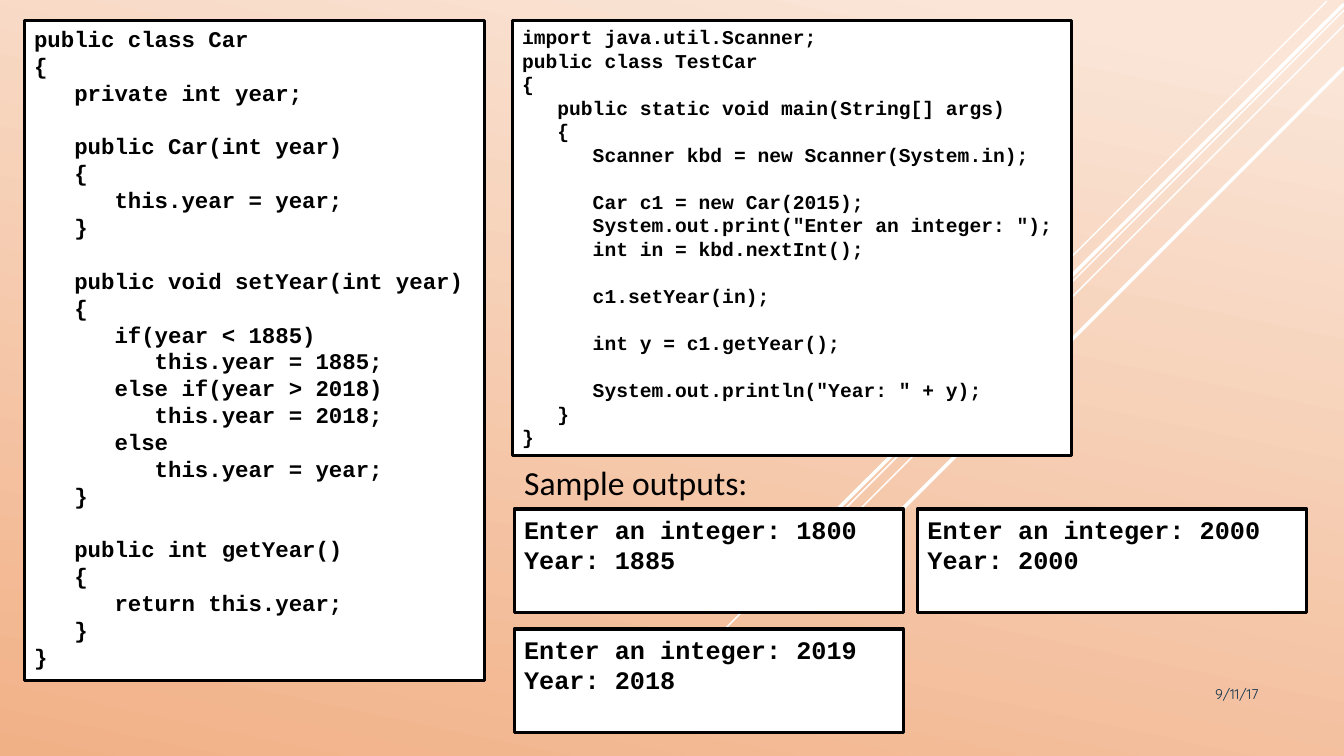
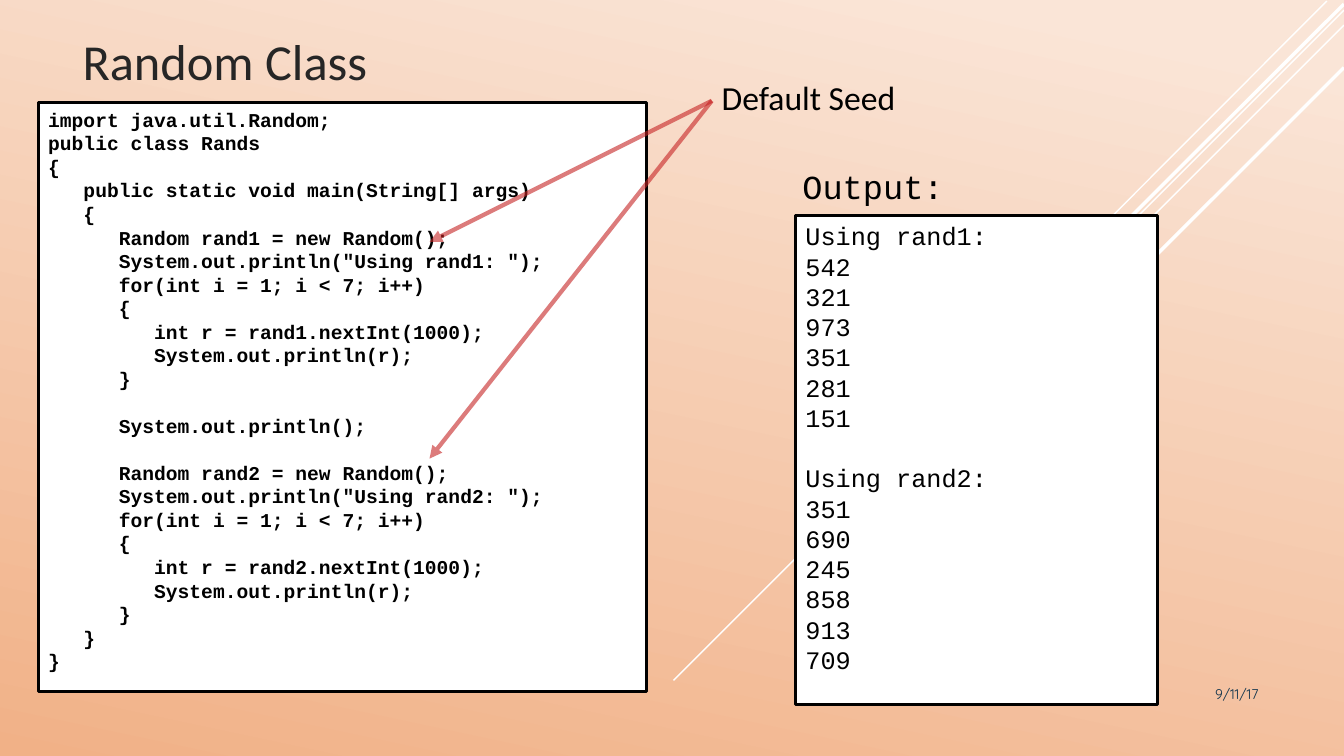
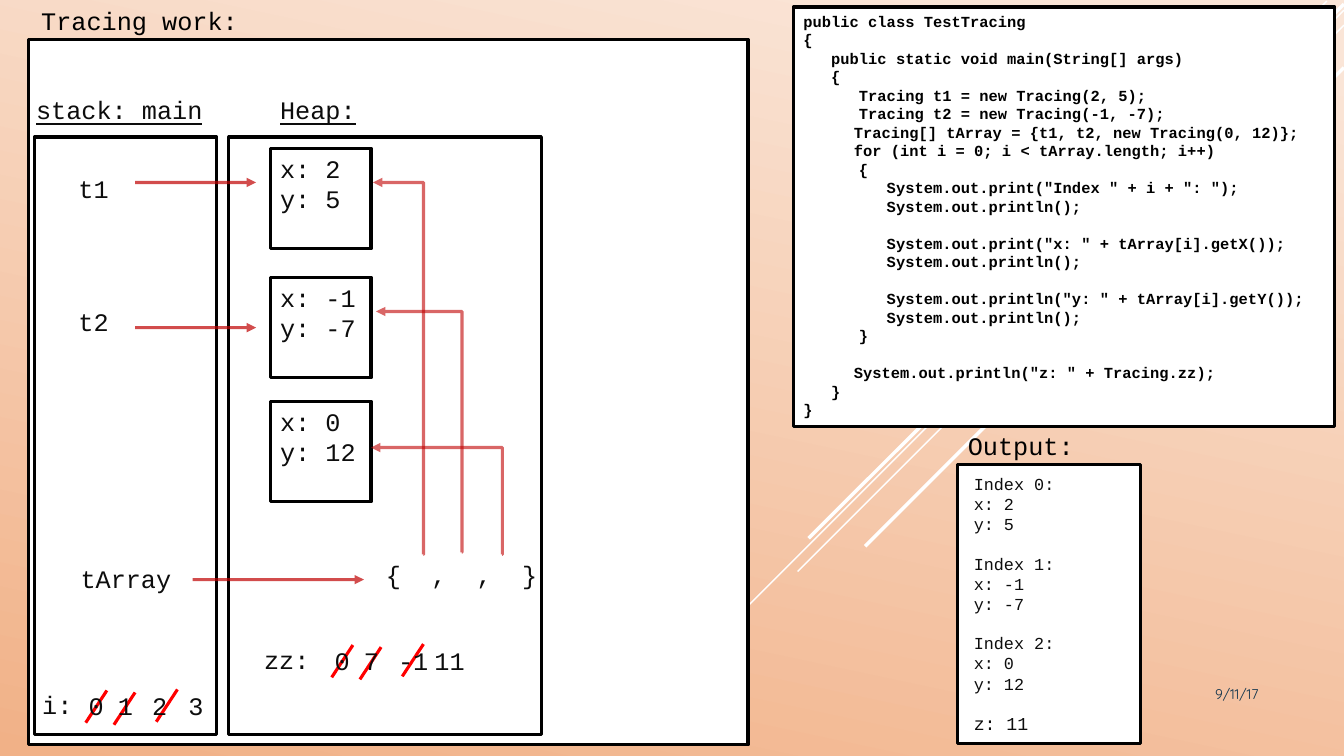
from lxml.etree import SubElement
from pptx import Presentation
from pptx.dml.color import RGBColor as RGB
from pptx.enum.shapes import MSO_CONNECTOR as LINK, MSO_SHAPE as SHAPE
from pptx.enum.text import MSO_ANCHOR as ANCHOR, PP_ALIGN as ALIGN
from pptx.oxml.ns import qn
from pptx.util import Inches, Pt

WIDTH, HEIGHT = 13.33, 7.5
COLORS = {
    "light": "FAE5D7", "peach": "F1B187", "white": "FFFFFF", "black": "000000",
    "ink": "0D0D0D", "title": "262626", "date": "0A304A",
    "arrow": "C00000", "seed": "C62324", "strike": "FF0000",
}
MONO, SANS, DATE_FONT = "Courier New", "Calibri", "Quicksand"
DATE = "9/11/17"
RAYS = [
    (13.16, 0.01, 9, 4.18, 1),
    (WIDTH, 0.1, 6.68, 6.75, 1),
    (WIDTH, 0.25, 7.91, 5.67, 1),
    (WIDTH, 0.04, 8.02, 5.34, 2.5),
    (WIDTH, 0.67, 8.58, 5.42, 2.5),
]

CAR_CODE = """public class Car
{
   private int year;

   public Car(int year)
   {
      this.year = year;
   }

   public void setYear(int year)
   {
      if(year < 1885)
         this.year = 1885;
      else if(year > 2018)
         this.year = 2018;
      else
         this.year = year;
   }

   public int getYear()
   {
      return this.year;
   }
}"""

TEST_CAR_CODE = """import java.util.Scanner;
public class TestCar
{
   public static void main(String[] args)
   {
      Scanner kbd = new Scanner(System.in);

      Car c1 = new Car(2015);
      System.out.print("Enter an integer: ");
      int in = kbd.nextInt();

      c1.setYear(in);

      int y = c1.getYear();

      System.out.println("Year: " + y);
   }
}"""

SAMPLES = [(0, 0, 1800, 1885), (1, 0, 2000, 2000), (0, 1, 2019, 2018)]

RANDS_CODE = """import java.util.Random;
public class Rands
{
   public static void main(String[] args)
   {
      Random rand1 = new Random();
      System.out.println("Using rand1: ");
      for(int i = 1; i < 7; i++)
      {
         int r = rand1.nextInt(1000);
         System.out.println(r);
      }

      System.out.println();

      Random rand2 = new Random();
      System.out.println("Using rand2: ");
      for(int i = 1; i < 7; i++)
      {
         int r = rand2.nextInt(1000);
         System.out.println(r);
      }
   }
}"""

RANDS_OUTPUT = """Using rand1:
542
321
973
351
281
151

Using rand2:
351
690
245
858
913
709"""

TRACING_CODE = [
    (0, """public class TestTracing
{
   public static void main(String[] args)
   {
      Tracing t1 = new Tracing(2, 5);
      Tracing t2 = new Tracing(-1, -7);"""),
    (0.5, """Tracing[] tArray = {t1, t2, new Tracing(0, 12)};
for (int i = 0; i < tArray.length; i++)"""),
    (0, """      {
         System.out.print("Index " + i + ": ");
         System.out.println();

         System.out.print("x: " + tArray[i].getX());
         System.out.println();

         System.out.println("y: " + tArray[i].getY());
         System.out.println();
      }"""),
    (0.5, """
System.out.println("z: " + Tracing.zz);"""),
    (0, """   }
}"""),
]

OBJECTS = [(2, 5, 1.47), (-1, -7, 2.75), (0, 12, 3.98)]
VARIABLES = [
    ("t1", 0.68, 1.67, 0.66), ("t2", 0.68, 2.99, 0.66), ("tArray", 0.7, 5.54, 1.29),
]
POINTERS = [(1.34, 2.54, 1.81), (1.34, 2.54, 3.25), (1.91, 3.61, 5.75)]
ELEMENT_LINKS = [
    (3.7, 1.81, 4.2, 5.5), (3.73, 3.09, 4.58, 5.48), (3.68, 4.44, 4.98, 5.5),
]
COUNTERS = [
    ("zz:", 2.52, 6.34, 3.22, 6.35, ["0", "7", "-1", "11"]),
    ("i:", 0.32, 6.79, 0.78, 6.8, ["0", "1", "2", "3"]),
]
VALUE_OFFSETS = [0, 0.29, 0.63, 0.99]
STRIKE_OFFSETS = [(0.07, 0.37), (0.35, 0.39), (0.77, 0.36)]


def color(name):
    return RGB.from_string(COLORS[name])


def write(box, content, size, font=MONO, ink="black", bold=False, underline=False,
          align=ALIGN.LEFT, anchor=ANCHOR.TOP, before=0):
    frame = box.text_frame
    frame.word_wrap = True
    frame.vertical_anchor = anchor
    chunks = [(0, content)] if isinstance(content, str) else content
    for index, (indent, text) in enumerate(chunks):
        para = frame.add_paragraph() if index else frame.paragraphs[0]
        para.text = text
        para.alignment = align
        if before:
            para.space_before = Pt(before)
        if indent:
            para._p.get_or_add_pPr().set("marL", str(Inches(indent)))
        para.font.name = font
        para.font.size = Pt(size)
        para.font.bold = bold
        para.font.underline = underline
        para.font.color.rgb = color(ink)


def add_text(page, at, content, size, **style):
    box = page.shapes.add_textbox(*map(Inches, at))
    write(box, content, size, **style)


def add_panel(page, at, content="", size=18, fill="white", border=True, **style):
    box = page.shapes.add_shape(SHAPE.RECTANGLE, *map(Inches, at))
    box.shadow.inherit = False
    if fill:
        box.fill.solid()
        box.fill.fore_color.rgb = color(fill)
    else:
        box.fill.background()
    if border:
        box.line.color.rgb = color("black")
        box.line.width = Pt(2.25)
    else:
        box.line.fill.background()
    if content:
        write(box, content, size, **style)


def add_heading(page, at, content, size, font=MONO):
    add_text(page, at, content, size, font=font, align=ALIGN.JUSTIFY, before=size * 0.2)


def add_line(page, ends, ink, width, opacity=100, arrow=False, kind=LINK.STRAIGHT):
    line = page.shapes.add_connector(kind, *map(Inches, ends))
    line.line.color.rgb = color(ink)
    line.line.width = Pt(width)
    properties = line._element.spPr
    stroke = properties.find(qn("a:ln"))
    if opacity < 100:
        tint = stroke.find(qn("a:solidFill")).find(qn("a:srgbClr"))
        SubElement(tint, qn("a:alpha")).set("val", str(opacity * 1000))
    if arrow:
        SubElement(stroke, qn("a:tailEnd")).set("type", "triangle")
    SubElement(properties, qn("a:effectLst"))
    return line


def add_elbow(page, corners):
    elbow = add_line(page, corners, "arrow", 2.25, 60, True, LINK.ELBOW)
    properties = elbow._element.spPr
    properties.find(qn("a:xfrm")).set("rot", "10800000")
    adjustments = properties.find(qn("a:prstGeom")).find(qn("a:avLst"))
    guide = SubElement(adjustments, qn("a:gd"))
    guide.set("name", "adj1")
    guide.set("fmla", "val -200")


def set_background(deck):
    fill = deck.slide_master.background.fill
    fill.gradient()
    fill.gradient_angle = 360 - 102
    for stop, (position, name) in zip(fill.gradient_stops, [(0.07, "light"), (1, "peach")]):
        stop.position = position
        stop.color.rgb = color(name)


def new_page(deck):
    page = deck.slides.add_slide(deck.slide_layouts[6])
    for *ends, width in RAYS:
        add_line(page, ends, "white", width)
    add_text(page, (10.83, 6.75, 1.75, 0.4), DATE, 10, font=DATE_FONT, ink="date",
             align=ALIGN.RIGHT)
    return page


def build_car(deck):
    page = new_page(deck)
    add_panel(page, (0.24, 0.2, 4.57, 6.55), CAR_CODE, 16, bold=True)
    add_panel(page, (5.08, 0.2, 5.55, 4.32), TEST_CAR_CODE, 14, bold=True)
    add_heading(page, (5.1, 4.53, 2.88, 0.59), "Sample outputs:", 24, SANS)
    for column, row, entered, year in SAMPLES:
        add_panel(page, (5.1 + 4 * column, 5.05 + 1.19 * row, 3.86, 1.03),
                  f"Enter an integer: {entered}\nYear: {year}", bold=True)


def build_random(deck):
    page = new_page(deck)
    add_panel(page, (0.38, 1.02, 6.03, 5.84), RANDS_CODE, 14, bold=True)
    add_text(page, (0.72, -0.08, 8.75, 1.03), "Random Class", 36, font=SANS, ink="title",
             anchor=ANCHOR.BOTTOM)
    add_heading(page, (7.06, 0.71, 2.18, 0.59), "Default Seed", 24, SANS)
    for target in (2.4, 4.55):
        add_line(page, (7.06, 1, 4.26, target), "seed", 3, 60, True)
    add_panel(page, (7.89, 2.14, 3.59, 4.85), RANDS_OUTPUT)
    add_heading(page, (7.86, 1.6, 2.18, 0.59), "Output:", 24)


def build_tracing(deck):
    page = new_page(deck)
    add_panel(page, (9.5, 4.61, 1.81, 2.77))
    add_heading(page, (9.5, 4.22, 2.18, 0.59), "Output:", 18)
    add_panel(page, (0.28, 0.39, 7.14, 7))
    add_heading(page, (0.31, 0, 2.18, 0.59), "Tracing work:", 18)
    add_text(page, (0.26, 0.89, 1.9, 0.51), "stack: main", 18, ink="ink", underline=True)
    add_panel(page, (2.68, 0.89, 1, 0.51), "Heap:", border=False, ink="ink", underline=True)
    for x, y, top in OBJECTS:
        add_panel(page, (2.68, top, 1, 1), f"x: {x}\ny: {y}", ink="ink")
    for name, left, top, width in VARIABLES:
        add_panel(page, (left, top, width, 0.51), name, border=False, ink="ink")
    for left, width in ((0.34, 1.81), (2.27, 3.1)):
        add_panel(page, (left, 1.36, width, 5.93), fill=None)
    for start, end, y in POINTERS:
        add_line(page, (start, y, end, y), "arrow", 2.25, 70, True)
    add_text(page, (3.73, 5.5, 1.75, 0.51), "{  ,  ,  }", 18, ink="ink")
    for corners in ELEMENT_LINKS:
        add_elbow(page, corners)
    for name, name_left, name_top, left, top, values in COUNTERS:
        add_text(page, (name_left, name_top, 0.78, 0.4), name, 18, ink="ink")
        for across, down in STRIKE_OFFSETS:
            x, y = left + across, top + down
            add_line(page, (x, y, x + 0.21, y - 0.32), "strike", 2.25)
        for value, across in zip(values, VALUE_OFFSETS):
            add_text(page, (left + across, top, 0.55, 0.36), value, 18, ink="ink")
    add_panel(page, (7.87, 0.07, 5.37, 4.16), TRACING_CODE, 11, bold=True)
    for index, (x, y, _) in enumerate(OBJECTS):
        add_text(page, (9.56, 4.65 + 0.79 * index, 1.6, 0.71),
                 f"Index {index}:\nx: {x}\ny: {y}", 12, ink="ink")
    add_text(page, (9.56, 7.02, 1.6, 0.32), "z: 11", 13, ink="ink")


def main():
    deck = Presentation()
    deck.slide_width, deck.slide_height = Inches(WIDTH), Inches(HEIGHT)
    set_background(deck)
    for build in (build_car, build_random, build_tracing):
        build(deck)
    deck.save("out.pptx")


if __name__ == "__main__":
    main()
